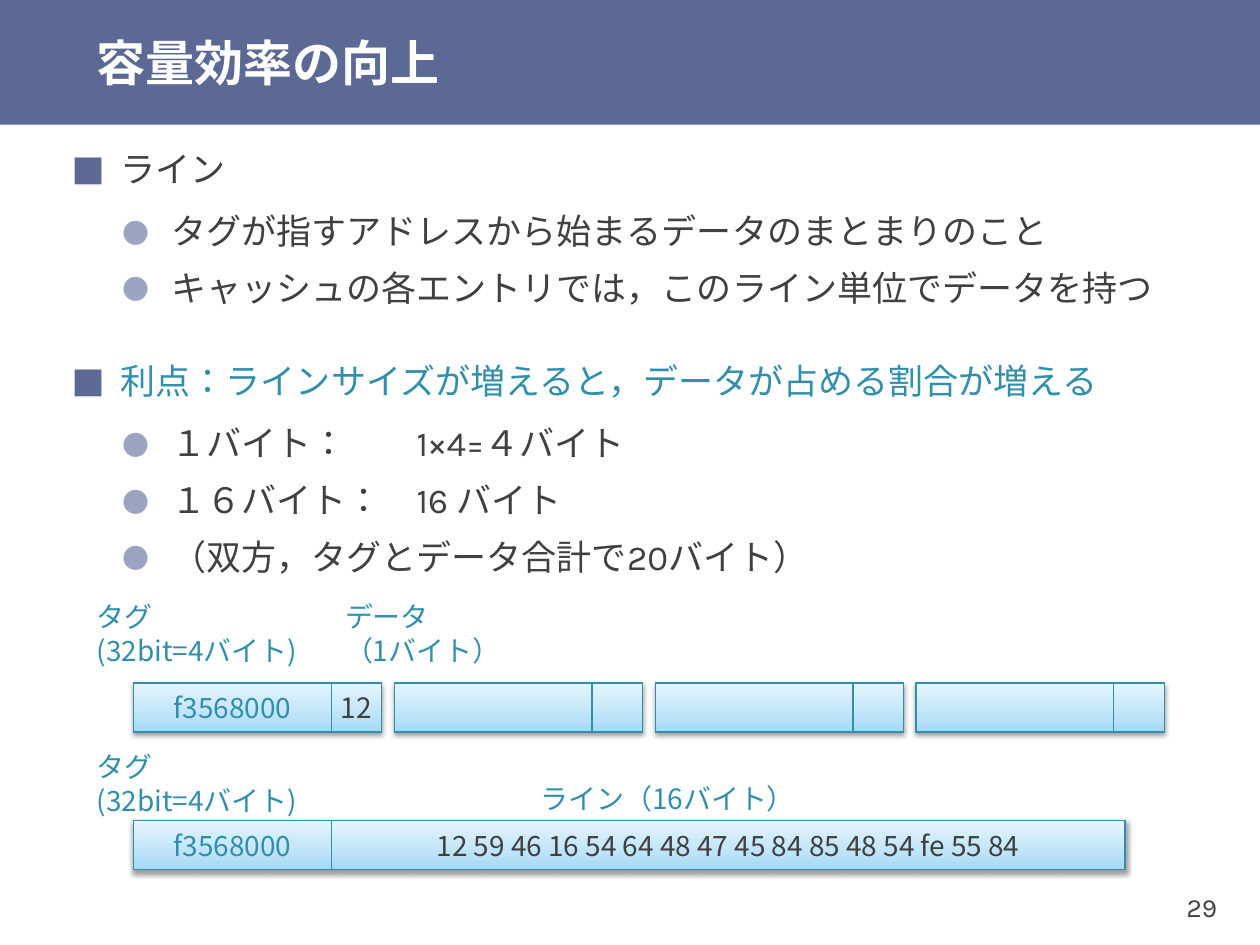
from lxml import etree
from pptx import Presentation
from pptx.dml.color import RGBColor
from pptx.enum.lang import MSO_LANGUAGE_ID
from pptx.enum.shapes import MSO_SHAPE
from pptx.enum.text import MSO_ANCHOR, PP_ALIGN
from pptx.oxml.ns import qn
from pptx.util import Inches, Pt

RECT = MSO_SHAPE.RECTANGLE
MIDDLE = MSO_ANCHOR.MIDDLE
LEFT, CENTER, RIGHT = PP_ALIGN.LEFT, PP_ALIGN.CENTER, PP_ALIGN.RIGHT
JAPANESE = MSO_LANGUAGE_ID.JAPANESE

NAVY = RGBColor(0x5C, 0x69, 0x94)
LAVENDER = RGBColor(0x9B, 0xA4, 0xC1)
TEAL = RGBColor(0x32, 0x8F, 0xAC)
ENTRY_EDGE = RGBColor(0x2E, 0x8D, 0xAB)
DARK = RGBColor(0x40, 0x40, 0x40)
WHITE = RGBColor(0xFF, 0xFF, 0xFF)
ENTRY_STOPS = [(0, "A2D9F7"), (35, "BFE4F8"), (100, "E6F5FD")]

KARLA, NOTO = "Karla", "Noto Sans CJK JP"

# Content
TITLE = "容量効率の向上"
PAGE_NUMBER = "29"
BODY = [  # level, text, colour
    (0, "ライン", DARK),
    (1, "タグが指すアドレスから始まるデータのまとまりのこと", DARK),
    (1, "キャッシュの各エントリでは，このライン単位でデータを持つ", DARK),
    (0, "利点：ラインサイズが増えると，データが占める割合が増える", TEAL),
    (1, "１バイト：　　1×4=４バイト", DARK),
    (1, "１６バイト：　16 バイト", DARK),
    (1, "（双方，タグとデータ合計で20バイト）", DARK),
]
LEVELS = [  # indent, space before, space after, bullet, colour, size %
    (0.39, 24, 6, "■", NAVY, 100),
    (0.79, 3, 3, "●", LAVENDER, 90),
]
TAG_LABEL = ["タグ", "(32bit=4バイト)"]
LABELS = [  # left, top, width, height, lines, alignment
    (0.67, 4.73, 1.95, 0.59, TAG_LABEL, LEFT),
    (2.64, 4.73, 1.6, 0.59, ["データ", "（1バイト）"], LEFT),
    (0.67, 5.92, 1.95, 0.59, TAG_LABEL, LEFT),
    (4.05, 6.14, 2.5, 0.39, ["ライン（16バイト）"], CENTER),
]
BYTE_ENTRIES = [("f3568000", "12"), ("", ""), ("", ""), ("", "")]
LINE_ENTRY = ("f3568000", "12 59 46 16 54 64 48 47 45 84 85 48 54 fe 55 84")

# Cache entry geometry
ENTRY_LEFT, ENTRY_H, TAG_W = 1.06, 0.39, 1.57
BYTE_TOP, BYTE_W, BYTE_PITCH = 5.42, 1.97, 2.07
LINE_TOP, LINE_W = 6.51, 7.87

prs = Presentation()
prs.slide_width, prs.slide_height = Inches(10), Inches(7.5)
slide = prs.slides.add_slide(prs.slide_layouts[6])


def child(parent, tag, **attributes):
    element = etree.SubElement(parent, qn(tag))
    for name, value in attributes.items():
        element.set(name, str(value))
    return element


def write(paragraph, text, size, font, color, align=LEFT, bold=False):
    paragraph.alignment = align
    run = paragraph.add_run()
    run.text = text
    run.font.size, run.font.bold, run.font.name = Pt(size), bold, font
    run.font.color.rgb = color
    run.font.language_id = JAPANESE
    child(run._r.get_or_add_rPr(), "a:ea", typeface=font)


def add_box(left, top, width, height, wrap=False):
    box = slide.shapes.add_textbox(*map(Inches, (left, top, width, height)))
    frame = box.text_frame
    frame.word_wrap, frame.vertical_anchor = wrap, MIDDLE
    return frame


def add_rect(left, top, width, height, edge=None):
    rect = slide.shapes.add_shape(RECT, *map(Inches, (left, top, width, height)))
    rect.shadow.inherit = False
    rect.fill.background()
    if edge is None:
        rect.line.fill.background()
    else:
        rect.line.color.rgb, rect.line.width = edge, Pt(0.75)
    return rect


def style_entry(rect):
    """Blue gradient rising from the bottom edge, and a soft shadow below."""
    rect.fill.gradient()
    rect.fill.gradient_angle = 90
    gradient = rect._element.spPr.find(qn("a:gradFill"))
    stops = gradient.find(qn("a:gsLst"))
    for stop in list(stops):
        stops.remove(stop)
    for percent, color in ENTRY_STOPS:
        child(child(stops, "a:gs", pos=percent * 1000), "a:srgbClr", val=color)
    gradient.find(qn("a:lin")).set("ang", str(270 * 60000))

    effects = rect._element.spPr.find(qn("a:effectLst"))
    shadow = child(effects, "a:outerShdw", blurRad=Pt(3.1), dist=Pt(1.6),
                   dir=90 * 60000, rotWithShape=0)
    child(child(shadow, "a:srgbClr", val="000000"), "a:alpha", val=38000)


def add_entry(left, top, width, tag, data):
    style_entry(add_rect(left, top, width, ENTRY_H, ENTRY_EDGE))
    cells = [(left, TAG_W, tag, TEAL),
             (left + TAG_W, width - TAG_W, data, DARK)]
    for cell_left, cell_w, text, color in cells:
        frame = add_rect(cell_left, top, cell_w, ENTRY_H, TEAL).text_frame
        frame.word_wrap, frame.vertical_anchor = False, MIDDLE
        if text:
            write(frame.paragraphs[0], text, 16, NOTO, color, CENTER)


# Title band and page number
band = add_rect(0, 0, 10, 0.99)
band.fill.solid()
band.fill.fore_color.rgb = NAVY
title = add_box(0.67, 0, 9.33, 0.99, wrap=True)
title.margin_top = title.margin_bottom = 0
write(title.paragraphs[0], TITLE, 28, KARLA, WHITE, bold=True)
page = add_box(8.94, 6.9, 0.79, 0.6)
page.margin_left = page.margin_right = Inches(0.07)
write(page.paragraphs[0], PAGE_NUMBER, 15, KARLA, DARK, RIGHT)

# Bulleted body
body = add_box(0.47, 1.09, 8.86, 3.54, wrap=True)
for i, (level, text, color) in enumerate(BODY):
    paragraph = body.add_paragraph() if i else body.paragraphs[0]
    indent, before, after, bullet, bullet_color, bullet_size = LEVELS[level]
    paragraph.level, paragraph.line_spacing = level, 1.1
    paragraph.space_before, paragraph.space_after = Pt(before), Pt(after)
    write(paragraph, text, 20, KARLA, color)
    props = paragraph._p.get_or_add_pPr()
    props.set("marL", str(Inches(indent)))
    props.set("indent", str(-Inches(0.39)))
    child(child(props, "a:buClr"), "a:srgbClr", val=bullet_color)
    child(props, "a:buSzPct", val=bullet_size * 1000)
    child(props, "a:buFont", typeface=KARLA)
    child(props, "a:buChar", char=bullet)

# Cache entries: four one-byte entries, then one 16-byte line
for i, (tag, data) in enumerate(BYTE_ENTRIES):
    add_entry(ENTRY_LEFT + i * BYTE_PITCH, BYTE_TOP, BYTE_W, tag, data)
add_entry(ENTRY_LEFT, LINE_TOP, LINE_W, *LINE_ENTRY)

# Labels above the entries
for left, top, width, height, lines, align in LABELS:
    label = add_box(left, top, width, height)
    for i, text in enumerate(lines):
        paragraph = label.add_paragraph() if i else label.paragraphs[0]
        paragraph.line_spacing = Pt(19.4)
        write(paragraph, text, 16, NOTO, TEAL, align)

prs.save("out.pptx")
